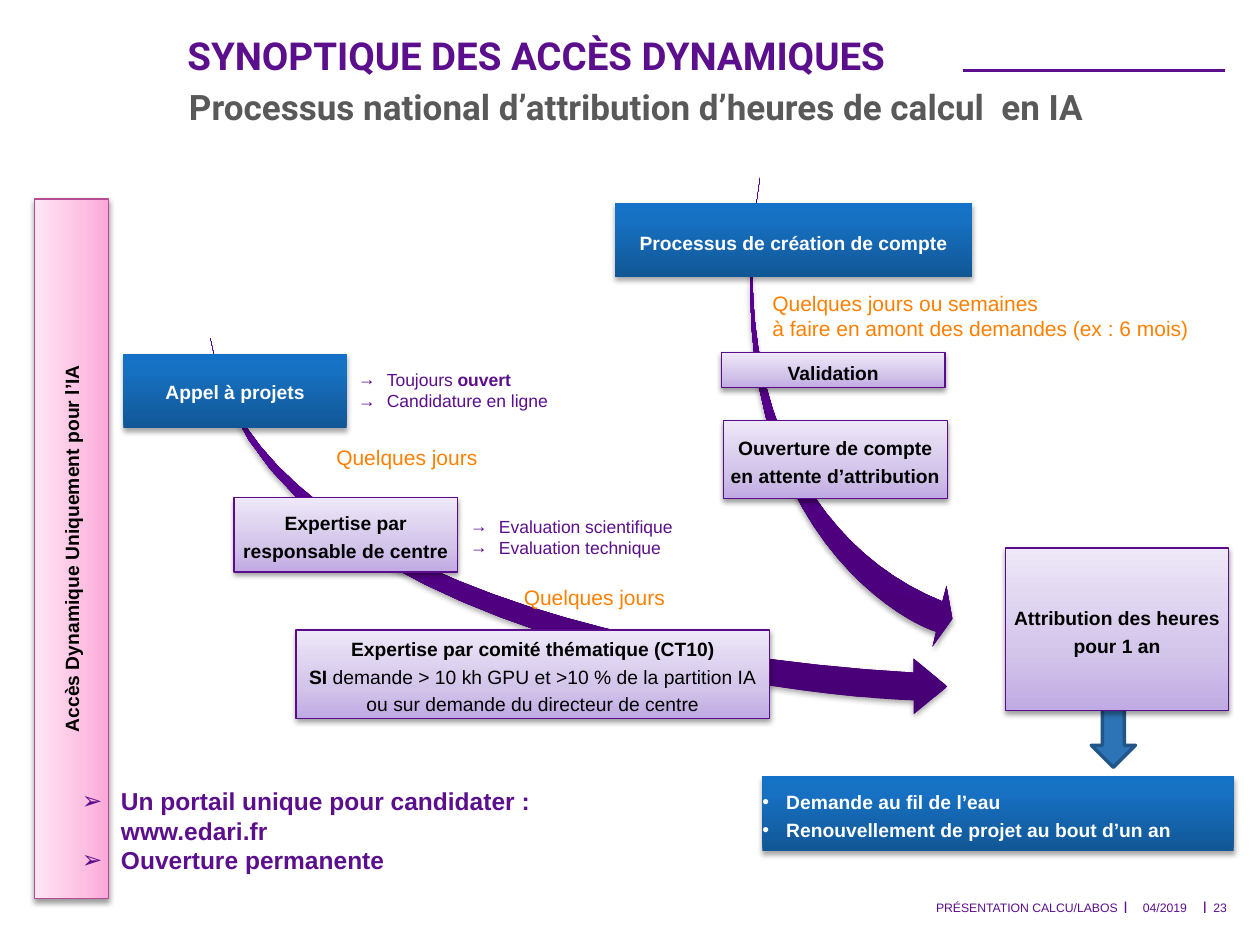
from dataclasses import dataclass
from math import cos, radians, sin

from pptx import Presentation
from pptx.dml.color import RGBColor as RGB
from pptx.enum.shapes import MSO_CONNECTOR as LINK, MSO_SHAPE as SHAPE
from pptx.enum.text import MSO_ANCHOR as ANCHOR, PP_ALIGN as ALIGN
from pptx.oxml import parse_xml
from pptx.oxml.ns import nsdecls, qn
from pptx.util import Cm, Pt


@dataclass(frozen=True)
class Theme:
    purple: str = "5C0F8C"
    orange: str = "FF8000"
    grey: str = "595959"
    white: str = "FFFFFF"
    black: str = "000000"
    edge: str = "5B0C8C"
    rose: str = "B64D93"
    arrow: str = "2C74B5"
    rim: str = "215686"
    # Gradients run from bottom to top
    blue_fade: tuple = ((0, "115796"), (80, "1771C3"), (100, "1372C8"))
    lilac_fade: tuple = ((0, "C0AAE3"), (35, "D3C4EA"), (100, "EEE8F8"))
    rose_fade: tuple = ((0, "FCA6D7"), (35, "FCC1E2"), (100, "FFE6F4"))
    sweep_fade: tuple = ((0, "470074"), (80, "5D0096"), (100, "5D0097"))
    body: str = "Arial"
    head: str = "Roboto"
    title: int = 22
    sub: int = 20
    point: int = 14
    delay: int = 12
    label: int = 11
    note: int = 10
    bar: int = 9
    foot: int = 7


T = Theme()


def color(code):
    return RGB.from_string(code)


def place(area):
    return [Cm(v) for v in area]


# Text
def bullet(para, mark, left, hang):
    props = para._p.get_or_add_pPr()
    props.set("marL", str(Cm(left)))
    props.set("indent", str(-Cm(hang)))
    props.append(parse_xml(f'<a:buFont {nsdecls("a")} typeface="Arial"/>'))
    props.append(parse_xml(f'<a:buChar {nsdecls("a")} char="{mark}"/>'))


def write(shape, paras, size, tint, bold=False, font=T.body, align=ALIGN.LEFT,
          space=None, after=None, mark=None, pad=(0.25, 0.13, 0.25, 0.13),
          anchor=ANCHOR.TOP, wrap=True):
    """Each paragraph is a list of (text, bold) runs, or one plain string."""
    frame = shape.text_frame
    frame.word_wrap, frame.vertical_anchor = wrap, anchor
    (frame.margin_left, frame.margin_top,
     frame.margin_right, frame.margin_bottom) = place(pad)
    for i, runs in enumerate(paras):
        para = frame.add_paragraph() if i else frame.paragraphs[0]
        if mark:
            bullet(para, *mark)
        para.alignment = align
        if space:
            para.line_spacing = space
        if after:
            para.space_after = Pt(after)
        for text, heavy in [(runs, bold)] if isinstance(runs, str) else runs:
            for j, line in enumerate(text.split("\n")):
                if j:
                    para.add_line_break()
                run = para.add_run()
                run.text = line
                run.font.size, run.font.bold = Pt(size), heavy
                run.font.name = font
                run.font.color.rgb = color(tint)


def label(slide, area, paras, size, tint, **style):
    box = slide.shapes.add_textbox(*place(area))
    write(box, paras, size, tint, **style)
    return box


# Shapes
def shade(shape, stops, edge=None):
    shape.fill.gradient()
    old = shape._element.spPr.find(qn("a:gradFill"))
    marks = "".join(f'<a:gs pos="{pos * 1000}"><a:srgbClr val="{code}"/></a:gs>'
                    for pos, code in stops)
    old.getparent().replace(old, parse_xml(
        f'<a:gradFill {nsdecls("a")} rotWithShape="1"><a:gsLst>{marks}</a:gsLst>'
        '<a:lin ang="16200000" scaled="0"/></a:gradFill>'))
    if edge:
        shape.line.color.rgb, shape.line.width = color(edge), Pt(0.75)
    else:
        shape.line.fill.background()
    shape.shadow.inherit = False
    alpha, drop = (38, 1.6) if edge else (35, 1.8)
    shape._element.spPr.find(qn("a:effectLst")).append(parse_xml(
        f'<a:outerShdw {nsdecls("a")} blurRad="{Pt(3.1)}" dist="{Pt(drop)}" '
        'dir="5400000" rotWithShape="0"><a:srgbClr val="000000">'
        f'<a:alpha val="{alpha * 1000}"/></a:srgbClr></a:outerShdw>'))


def panel(slide, area, paras, stops=T.lilac_fade, edge=T.edge, tint=T.black,
          align=ALIGN.CENTER, space=1.2, mark=None):
    box = slide.shapes.add_shape(SHAPE.RECTANGLE, *place(area))
    shade(box, stops, edge)
    write(box, paras, T.label, tint, bold=True, align=align, space=space,
          mark=mark, pad=(0, 0.13, 0, 0.13), anchor=ANCHOR.MIDDLE)
    return box


def trace(start, parts, steps=24):
    """Points along lines (one point) and cubic curves (three points)."""
    points = [start]
    for part in parts:
        if len(part) == 1:
            points += part
            continue
        knots = (points[-1], *part)
        for k in range(1, steps + 1):
            t = k / steps
            rates = ((1 - t) ** 3, 3 * t * (1 - t) ** 2, 3 * t * t * (1 - t), t ** 3)
            points.append(tuple(sum(r * p[axis] for r, p in zip(rates, knots))
                                for axis in (0, 1)))
    return points


def sweep(slide, start, parts, angle=0, hub=(0, 0)):
    c, s = cos(radians(angle)), sin(radians(angle))
    points = []
    for x, y in trace(start, parts):
        dx, dy = x - hub[0], y - hub[1]
        points.append((Cm(hub[0] + dx * c + dy * s), Cm(hub[1] - dx * s + dy * c)))
    pen = slide.shapes.build_freeform(*points[0], scale=1.0)
    pen.add_line_segments(points[1:], close=True)
    shape = pen.convert_to_shape()
    shape.rotation = angle
    shade(shape, T.sweep_fade)


def rule(slide, x1, x2, y):
    line = slide.shapes.add_connector(LINK.STRAIGHT, Cm(x1), Cm(y), Cm(x2), Cm(y))
    line.line.color.rgb, line.line.width = color(T.purple), Pt(2)
    line._element.spPr.append(parse_xml(f'<a:effectLst {nsdecls("a")}/>'))


def main():
    deck = Presentation()
    deck.slide_width, deck.slide_height = Cm(25.4), Cm(19.05)
    slide = deck.slides.add_slide(deck.slide_layouts[6])

    # Heading
    rule(slide, 24.69, 4.09, 1.42)
    title = label(slide, (3.53, 0.51, 15.88, 1.19), ["SYNOPTIQUE DES ACCÈS DYNAMIQUES"],
                  T.title, T.purple, bold=True, font=T.head)
    title.fill.solid()
    title.fill.fore_color.rgb = color(T.white)
    label(slide, (3.56, 1.6, 19.86, 1.12),
          ["Processus national d’attribution d’heures de calcul  en IA"],
          T.sub, T.grey, bold=True, font=T.head)

    # Arrows behind the steps
    down = slide.shapes.add_shape(SHAPE.DOWN_ARROW, *place((22, 14.07, 0.89, 1.4)))
    down.fill.solid()
    down.fill.fore_color.rgb = color(T.arrow)
    down.line.color.rgb, down.line.width = color(T.rim), Pt(2)
    down.shadow.inherit = False
    sweep(slide, (15.32, 3.58), [
        [(14.66, 7.77), (16.21, 11), (19, 12.12)],
        [(19.08, 11.81)], [(19.2, 12.47)], [(18.8, 13.03)], [(18.87, 12.73)],
        [(18.14, 12.52), (14.22, 10.34), (15.32, 3.58)]], 12.2, (17.21, 8.34))
    sweep(slide, (4.24, 6.81), [
        [(4.83, 10.59), (10.59, 13.11), (18.42, 13.56)],
        [(18.42, 13.28)], [(19.1, 13.84)], [(18.42, 14.4)], [(18.42, 14.12)],
        [(16.38, 14.07), (5.11, 12.9), (4.24, 6.81)]])

    # Side band
    band = panel(slide, (-5.61, 10.31, 14.1, 1.5), ["Accès Dynamique Uniquement pour l’IA"],
                 T.rose_fade, T.rose, space=1)
    band.rotation = 270

    # Steps
    blue = dict(stops=T.blue_fade, edge=None, tint=T.white)
    panel(slide, (2.49, 7.14, 4.5, 1.5), ["Appel à projets"], space=1, **blue)
    panel(slide, (12.4, 4.09, 7.2, 1.5), ["Processus de création de compte"], **blue)
    panel(slide, (15.37, 15.65, 9.5, 1.5),
          ["Demande au fil de l’eau", "Renouvellement de projet au bout d’un an"],
          align=ALIGN.LEFT, mark=("•", 0.48, 0.48), **blue)
    for area, paras in (
        ((4.72, 10.03, 4.5, 1.5), ["Expertise par responsable de centre"]),
        ((20.27, 11.05, 4.5, 3.28), ["Attribution des heures pour 1 an"]),
        ((5.97, 12.7, 9.55, 1.78), [
            "Expertise par comité thématique (CT10)",
            [("SI ", True), ("demande > 10 kh GPU et >10 % de la partition IA\n"
                             "ou sur demande du directeur de centre", False)]]),
        ((14.55, 7.11, 4.5, 0.71), ["Validation"]),
        ((14.58, 8.48, 4.52, 1.57), ["Ouverture de compte\nen attente d’attribution"]),
    ):
        panel(slide, area, paras)

    # Notes and delays
    for area, paras in (
        ((6.71, 7.14, 7.19, 1.5),
         [[("Toujours ", False), ("ouvert", True)], "Candidature en ligne"]),
        ((8.97, 10.34, 6.25, 1.02), ["Evaluation scientifique", "Evaluation technique"]),
    ):
        label(slide, area, paras, T.note, T.purple, space=0.9, after=1.5,
              mark=("→", 0.79, 0.58), pad=(0.3, 0.28, 0.3, 0.28), anchor=ANCHOR.MIDDLE)
    for area, text in (
        ((6.53, 8.84, 3.38, 0.76), "Quelques jours"),
        ((10.31, 11.66, 3.38, 0.76), "Quelques jours"),
        ((15.32, 5.72, 8.97, 1.27),
         "Quelques jours ou semaines\nà faire en amont des demandes (ex : 6 mois)"),
    ):
        label(slide, area, [text], T.delay, T.orange, wrap=False)
    label(slide, (1.4, 15.72, 9.86, 2.06),
          ["Un portail unique pour candidater : www.edari.fr", "Ouverture permanente"],
          T.point, T.purple, bold=True, mark=("➢", 0.79, 0.79))

    # Footer
    for x in (22.4, 24):
        label(slide, (x, 17.96, 0.58, 0.64), ["l"], T.bar, T.purple,
              align=ALIGN.CENTER, pad=(0, 0.13, 0, 0.13))
    for x, width, text, align in (
        (2.77, 19.76, "PRÉSENTATION CALCU/LABOS", ALIGN.RIGHT),
        (22.71, 1.55, "04/2019", ALIGN.CENTER),
        (24.46, 0.41, "23", ALIGN.LEFT),
    ):
        label(slide, (x, 18.01, width, 0.53), [text], T.foot, T.purple,
              align=align, pad=(0, 0.13, 0, 0.13))

    deck.save("out.pptx")


if __name__ == "__main__":
    main()
